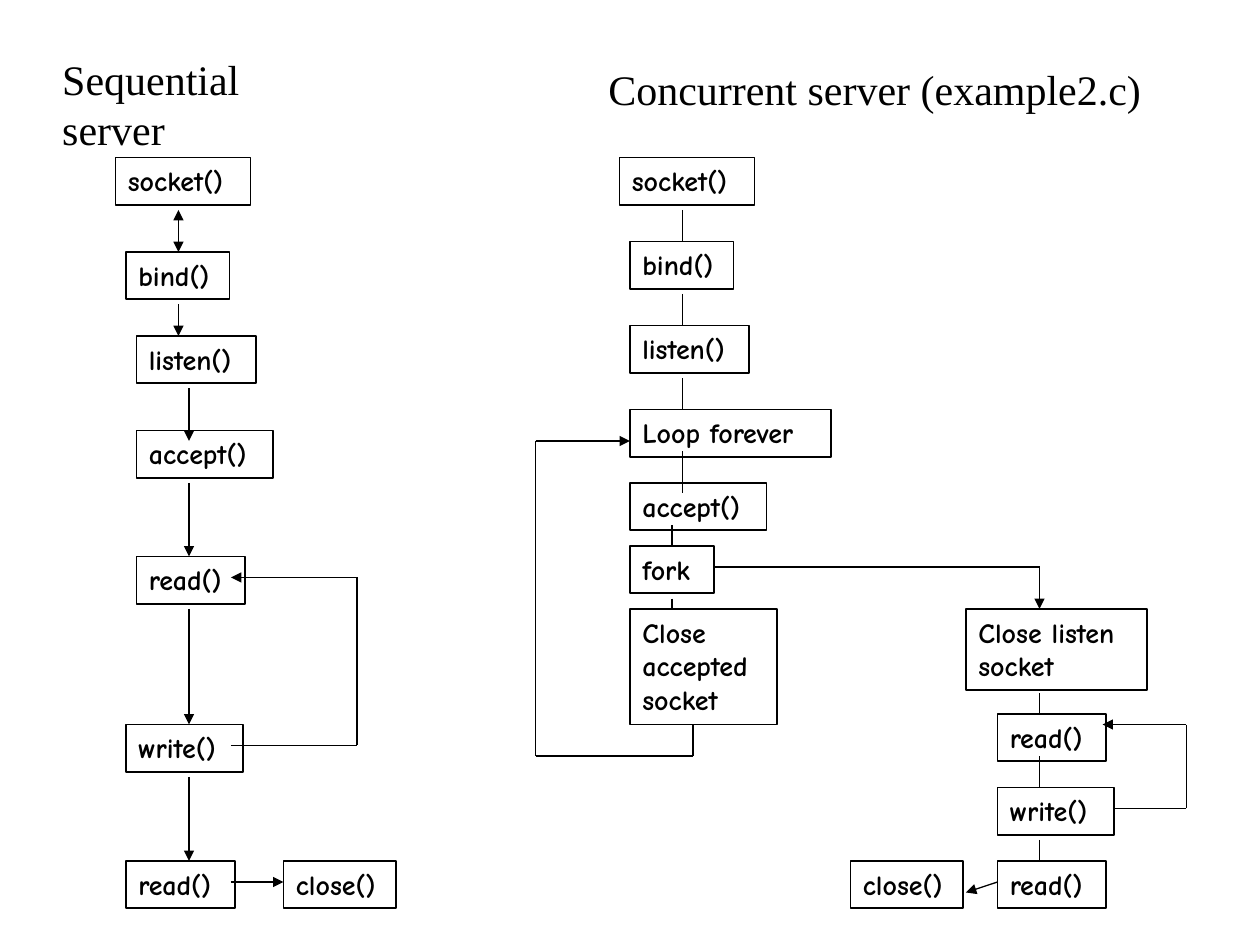
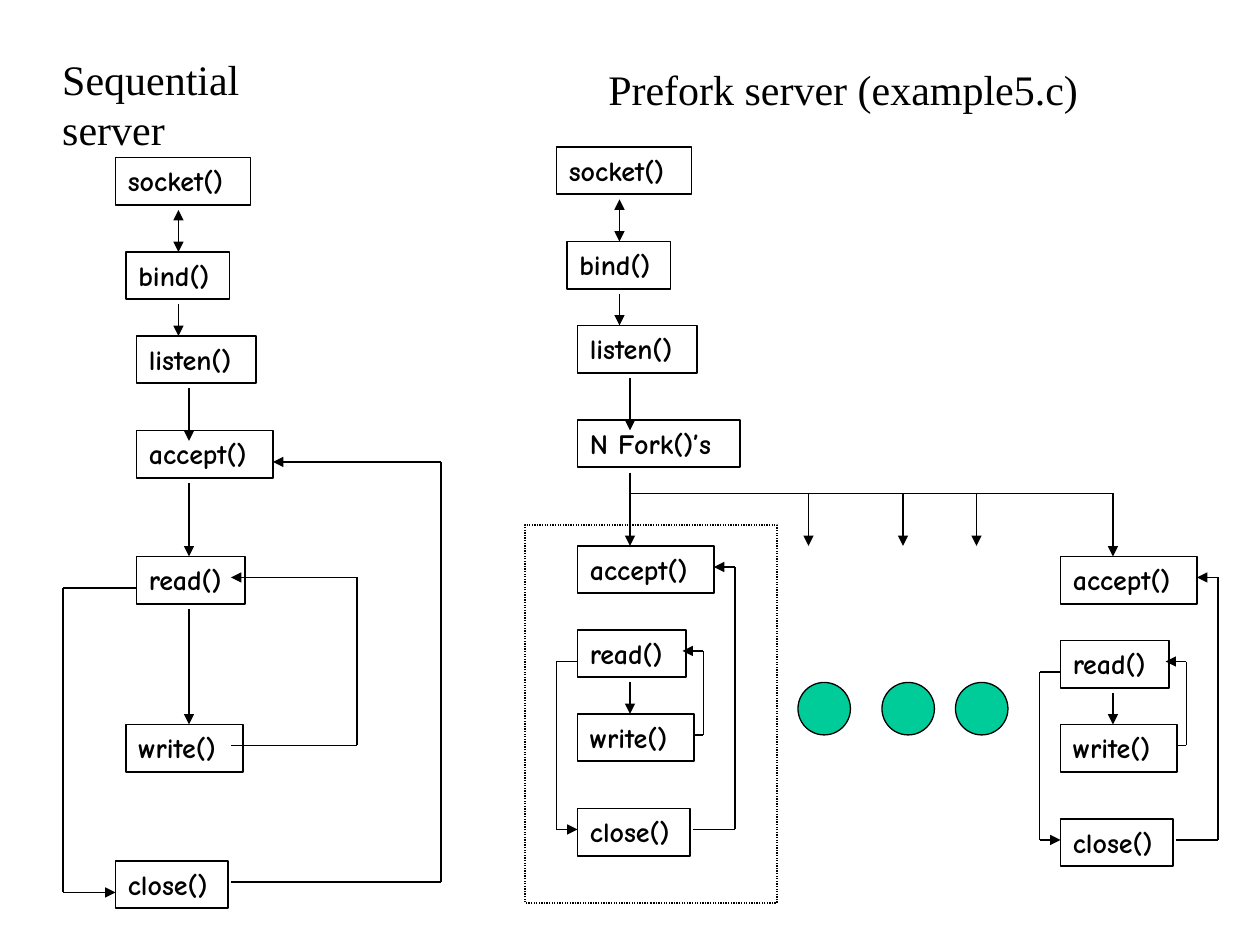
"""Draw flow charts that compare a sequential server with concurrent and prefork ones."""
from dataclasses import dataclass

from lxml import etree
from pptx import Presentation
from pptx import util as u
from pptx.dml.color import RGBColor
from pptx.enum import dml, shapes, text
from pptx.oxml.ns import qn


@dataclass(frozen=True)
class Theme:
    ink: RGBColor = RGBColor(0, 0, 0)
    paper: RGBColor = RGBColor(255, 255, 255)
    accent: RGBColor = RGBColor(0x00, 0xCC, 0x99)
    title_font: str = "Times New Roman"
    title_size: int = 24
    call_font: str = "Comic Neue"
    call_size: int = 16
    box_line: float = 1
    thin_line: float = 0.75


PX = u.Inches(1) // 96
LINE_HEIGHT = 26
BOX_PADDING = 10
CALL_WIDTHS = {
    "socket()": 103,
    "bind()": 79,
    "listen()": 91,
    "accept()": 104,
    "read()": 83,
    "write()": 89,
    "close()": 86,
    "fork": 64,
    "Loop forever": 153,
    "N Fork()’s": 124,
    "Close\naccepted\nsocket": 112,
    "Close listen\nsocket": 138,
}


class FlowChart:
    def __init__(self, presentation, theme):
        self.presentation = presentation
        self.theme = theme
        self.slide = None

    def new_slide(self):
        self.slide = self.presentation.slides.add_slide(self.presentation.slide_layouts[6])
        fill = self.slide.background.fill
        fill.solid()
        fill.fore_color.rgb = self.theme.paper

    def set_text(self, shape, words, font_name, size, bold):
        frame = shape.text_frame
        frame.text = words
        frame.word_wrap = False
        frame.auto_size = text.MSO_AUTO_SIZE.SHAPE_TO_FIT_TEXT
        frame.vertical_anchor = text.MSO_ANCHOR.TOP
        for paragraph in frame.paragraphs:
            paragraph.alignment = text.PP_ALIGN.LEFT
            for run in paragraph.runs:
                run.font.name = font_name
                run.font.size = u.Pt(size)
                run.font.bold = bold
                run.font.color.rgb = self.theme.ink

    def title(self, words, x, y, width):
        shape = self.slide.shapes.add_textbox(x * PX, y * PX, width * PX, 48 * PX)
        self.set_text(shape, words, self.theme.title_font, self.theme.title_size, False)

    def outline(self, kind, x, y, width, height, line_width):
        shape = self.slide.shapes.add_shape(kind, x * PX, y * PX, width * PX, height * PX)
        shape.shadow.inherit = False
        shape.fill.background()
        shape.line.color.rgb = self.theme.ink
        shape.line.width = u.Pt(line_width)
        return shape

    def call(self, words, x, y):
        height = BOX_PADDING + LINE_HEIGHT * len(words.split("\n"))
        shape = self.outline(shapes.MSO_SHAPE.RECTANGLE, x, y, CALL_WIDTHS[words], height,
                             self.theme.box_line)
        self.set_text(shape, words, self.theme.call_font, self.theme.call_size, True)

    def circle(self, x, y, size):
        shape = self.outline(shapes.MSO_SHAPE.OVAL, x, y, size, size, self.theme.thin_line)
        shape.fill.solid()
        shape.fill.fore_color.rgb = self.theme.accent

    def dotted_frame(self, x, y, width, height):
        shape = self.outline(shapes.MSO_SHAPE.RECTANGLE, x, y, width, height,
                             self.theme.thin_line)
        shape.line.dash_style = dml.MSO_LINE.ROUND_DOT

    def line(self, start, end, arrow_ends=()):
        connector = self.slide.shapes.add_connector(
            shapes.MSO_CONNECTOR.STRAIGHT, *(value * PX for value in (*start, *end)))
        connector.line.color.rgb = self.theme.ink
        connector.line.width = u.Pt(self.theme.thin_line)
        properties = connector._element.spPr
        for arrow_end in arrow_ends:
            etree.SubElement(properties.find(qn("a:ln")), qn(arrow_end), type="triangle")
        etree.SubElement(properties, qn("a:effectLst"))

    def route(self, *points):
        legs = list(zip(points, points[1:]))
        for start, end in legs[:-1]:
            self.line(start, end)
        self.line(*legs[-1], arrow_ends=["a:tailEnd"])


def draw_setup(chart, x, y, next_call):
    chart.call("socket()", x, y)
    chart.call("bind()", x + 8, y + 72)
    chart.call("listen()", x + 16, y + 136)
    chart.call(next_call, x + 16, y + 208)
    chart.line((x + 48, y + 40), (x + 48, y + 72), ["a:headEnd", "a:tailEnd"])
    chart.route((x + 48, y + 112), (x + 48, y + 136))
    chart.route((x + 56, y + 176), (x + 56, y + 216))
    chart.route((x + 56, y + 248), (x + 56, y + 304))


def draw_sequential(chart):
    chart.title("Sequential server", 38, 36, 240)
    draw_setup(chart, 88, 120, "accept()")
    chart.call("read()", 104, 424)
    chart.call("write()", 96, 552)
    chart.route((144, 464), (144, 552))
    chart.route((176, 568), (272, 568), (272, 440), (176, 440))


def draw_concurrent(chart):
    chart.title("Concurrent server (example2.c)", 454, 44, 425)
    chart.call("socket()", 472, 120)
    parent_calls = [("bind()", 184), ("listen()", 248), ("Loop forever", 312),
                    ("accept()", 368), ("fork", 416), ("Close\naccepted\nsocket", 464)]
    for words, y in parent_calls:
        chart.call(words, 480, y)
    chart.call("Close listen\nsocket", 736, 464)
    for words, y in [("read()", 544), ("write()", 600), ("read()", 656)]:
        chart.call(words, 760, y)
    chart.call("close()", 648, 656)

    links = {520: [(160, 184), (224, 248), (288, 312), (344, 376)],
             512: [(400, 416), (456, 464)],
             792: [(528, 544), (576, 600), (640, 656)]}
    for x, spans in links.items():
        for top, bottom in spans:
            chart.line((x, top), (x, bottom))
    chart.route((528, 552), (528, 576), (408, 576), (408, 336), (480, 336))
    chart.route((544, 432), (792, 432), (792, 464))
    chart.route((760, 672), (736, 680))
    chart.route((848, 616), (904, 616), (904, 552), (840, 552))


def draw_worker(chart, x, y):
    for words, offset in [("accept()", 0), ("read()", 64), ("write()", 128), ("close()", 200)]:
        chart.call(words, x, y + offset)
    routes = [
        [(40, 104), (40, 128)],
        [(88, 144), (96, 144), (96, 80), (80, 80)],
        [(0, 88), (-16, 88), (-16, 216), (0, 216)],
        [(88, 216), (120, 216), (120, 16), (104, 16)],
    ]
    for points in routes:
        chart.route(*((x + dx, y + dy) for dx, dy in points))


def draw_prefork(chart):
    chart.title("Prefork server (example5.c)", 454, 44, 377)
    draw_setup(chart, 424, 112, "N Fork()’s")
    draw_worker(chart, 440, 416)
    draw_worker(chart, 808, 424)
    chart.route((480, 376), (848, 376), (848, 424))
    for arrow_x, circle_x in [(616, 608), (688, 672), (744, 728)]:
        chart.route((arrow_x, 376), (arrow_x, 416))
        chart.circle(circle_x, 520, 40)
    chart.dotted_frame(400, 400, 192, 288)


def main():
    presentation = Presentation()
    presentation.slide_width = 960 * PX
    presentation.slide_height = 720 * PX
    chart = FlowChart(presentation, Theme())

    chart.new_slide()
    draw_sequential(chart)
    chart.call("read()", 96, 656)
    chart.call("close()", 216, 656)
    chart.route((144, 592), (144, 656))
    chart.route((176, 672), (216, 672))
    draw_concurrent(chart)

    chart.new_slide()
    draw_sequential(chart)
    chart.call("close()", 88, 656)
    chart.route((176, 672), (336, 672), (336, 352), (208, 352))
    chart.route((104, 448), (48, 448), (48, 680), (88, 680))
    draw_prefork(chart)

    presentation.save("out.pptx")


if __name__ == "__main__":
    main()
